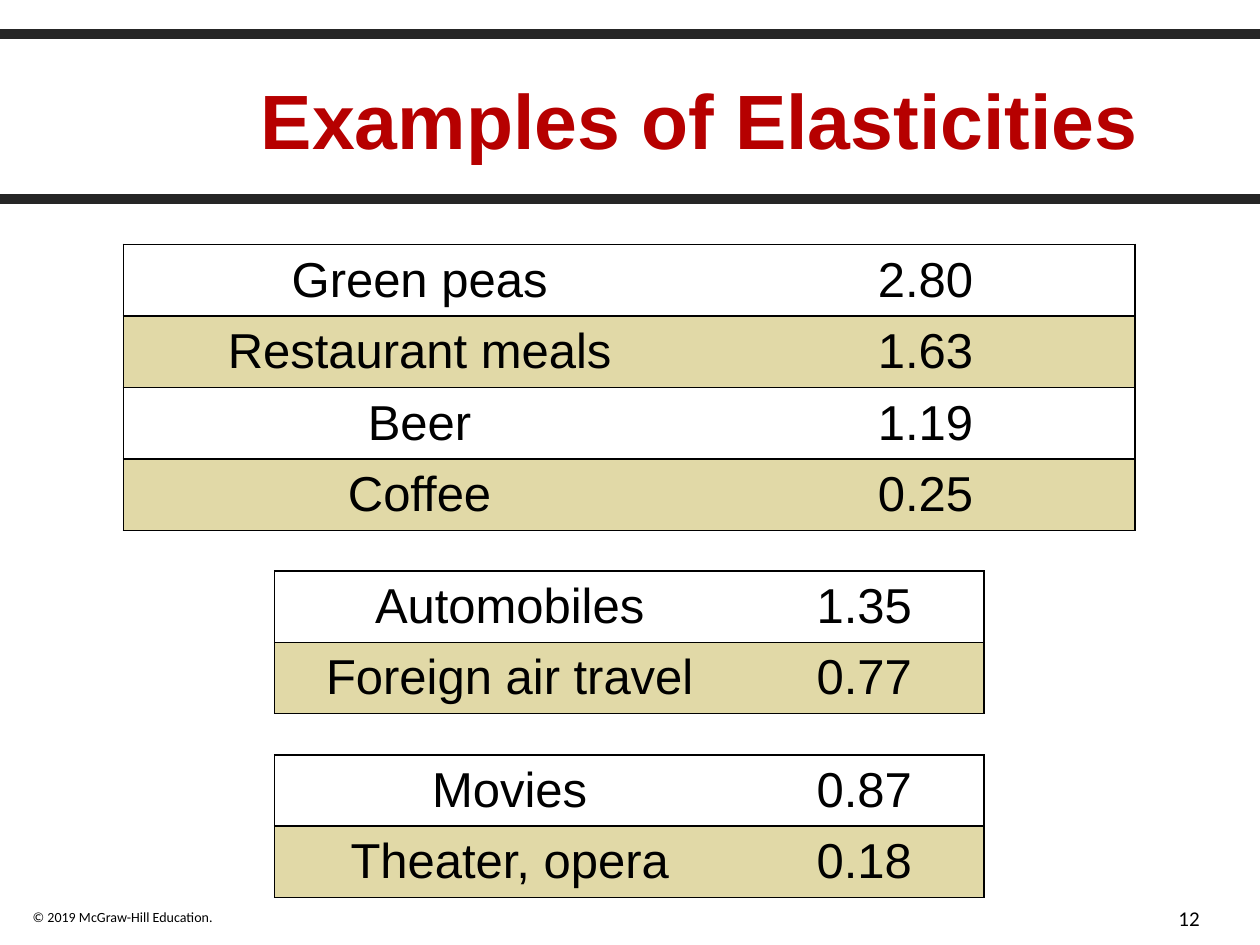
from dataclasses import dataclass

import pptx
import pptx.dml.color
import pptx.enum.text
import pptx.oxml
import pptx.oxml.ns
import pptx.util
from pptx.util import Inches

HUES = {"rule": "262626", "title": "B60000", "text": "000000", "band": "E1D9A7"}
ALIGN = pptx.enum.text.PP_ALIGN
MIDDLE = pptx.enum.text.MSO_ANCHOR.MIDDLE
ROW = 0.41


@dataclass
class Grid:
    left: float
    top: float
    height: float
    cols: tuple[float, float]
    inset: float
    rows: list[tuple[str, str]]


@dataclass
class Note:
    box: tuple[float, float, float, float]
    text: str
    size: int
    align: int
    wrap: bool


GRIDS = [
    Grid(0.98, 1.94, 2.27, (4.7, 3.33), 0.19,
         [("Green peas", "2.80"), ("Restaurant meals", "1.63"),
          ("Beer", "1.19"), ("Coffee", "0.25")]),
    Grid(2.18, 4.53, 1.13, (3.73, 1.9), 0.1,
         [("Automobiles", "1.35"), ("Foreign air travel", "0.77")]),
    Grid(2.18, 5.99, 1.13, (3.73, 1.9), 0.1,
         [("Movies", "0.87"), ("Theater, opera", "0.18")]),
]
NOTES = [
    Note((0.16, 7.16, 1.65, 0.24), "© 2019 McGraw-Hill Education.", 8, ALIGN.LEFT, False),
    Note((8.54, 7.14, 1.08, 0.3), "12", 12, ALIGN.RIGHT, True),
]


def color(name: str) -> pptx.dml.color.RGBColor:
    return pptx.dml.color.RGBColor.from_string(HUES[name])


def style(para, face: str, size: int, hue: str, align: int, bold: bool = False) -> None:
    para.alignment = align
    font = para.font
    font.name, font.size, font.bold = face, pptx.util.Pt(size), bold
    font.color.rgb = color(hue)


def rule(slide, top: float) -> None:
    line = slide.shapes.add_connector(
        pptx.enum.shapes.MSO_CONNECTOR.STRAIGHT, 0, Inches(top), Inches(10), Inches(top))
    line.line.color.rgb = color("rule")
    line.line.width = pptx.util.Pt(5.5)
    pptx.oxml.ns.qn("a:effectLst")
    line._element.spPr.append(pptx.oxml.parse_xml(
        f'<a:effectLst {pptx.oxml.ns.nsdecls("a")}/>'))


def note(slide, item: Note) -> None:
    frame = slide.shapes.add_textbox(*map(Inches, item.box)).text_frame
    frame.word_wrap = item.wrap
    frame.text = item.text
    style(frame.paragraphs[0], "Calibri", item.size, "text", item.align)


def border(cell, sides: str) -> None:
    """Draw the named sides in black and clear the others."""
    props = cell._tc.get_or_add_tcPr()
    for spot, side in enumerate("LRTB"):
        fill = (f'<a:solidFill><a:srgbClr val="{HUES["text"]}"/></a:solidFill>'
                if side in sides else "<a:noFill/>")
        props.insert(spot, pptx.oxml.parse_xml(
            f'<a:ln{side} {pptx.oxml.ns.nsdecls("a")} w="12700">{fill}</a:ln{side}>'))


def table(slide, grid: Grid) -> None:
    shape = slide.shapes.add_table(
        len(grid.rows), len(grid.cols), Inches(grid.left), Inches(grid.top),
        Inches(sum(grid.cols)), Inches(grid.height))
    tab = shape.table
    tab.first_row = tab.horz_banding = False
    for col, width in zip(tab.columns, grid.cols):
        col.width = Inches(width)
    for r, row in enumerate(grid.rows):
        tab.rows[r].height = Inches(ROW)
        for c, text in enumerate(row):
            cell = tab.cell(r, c)
            cell.text = text
            cell.vertical_anchor = MIDDLE
            cell.margin_left = cell.margin_right = Inches(grid.inset)
            style(cell.text_frame.paragraphs[0], "Arial", 28, "text", ALIGN.CENTER)
            if r % 2:
                cell.fill.solid()
                cell.fill.fore_color.rgb = color("band")
            else:
                cell.fill.background()
            border(cell, "TB" + "LR"[c])
    shape.height = Inches(grid.height)


def main() -> None:
    deck = pptx.Presentation()
    deck.slide_width, deck.slide_height = Inches(10), Inches(7.5)
    slide = deck.slides.add_slide(deck.slide_layouts[5])

    # Rules and footer
    for top in (1.58, 0.27):
        rule(slide, top)
    for item in NOTES:
        note(slide, item)

    # Title
    title = slide.shapes.title
    title.left, title.top = Inches(1.14), Inches(0.3)
    title.width, title.height = Inches(8.83), Inches(1.28)
    title.text_frame.text = "Examples of Elasticities"
    title.text_frame.vertical_anchor = MIDDLE
    style(title.text_frame.paragraphs[0], "Arial", 44, "title", ALIGN.CENTER, True)

    # Tables
    for grid in GRIDS:
        table(slide, grid)

    deck.save("out.pptx")


if __name__ == "__main__":
    main()
